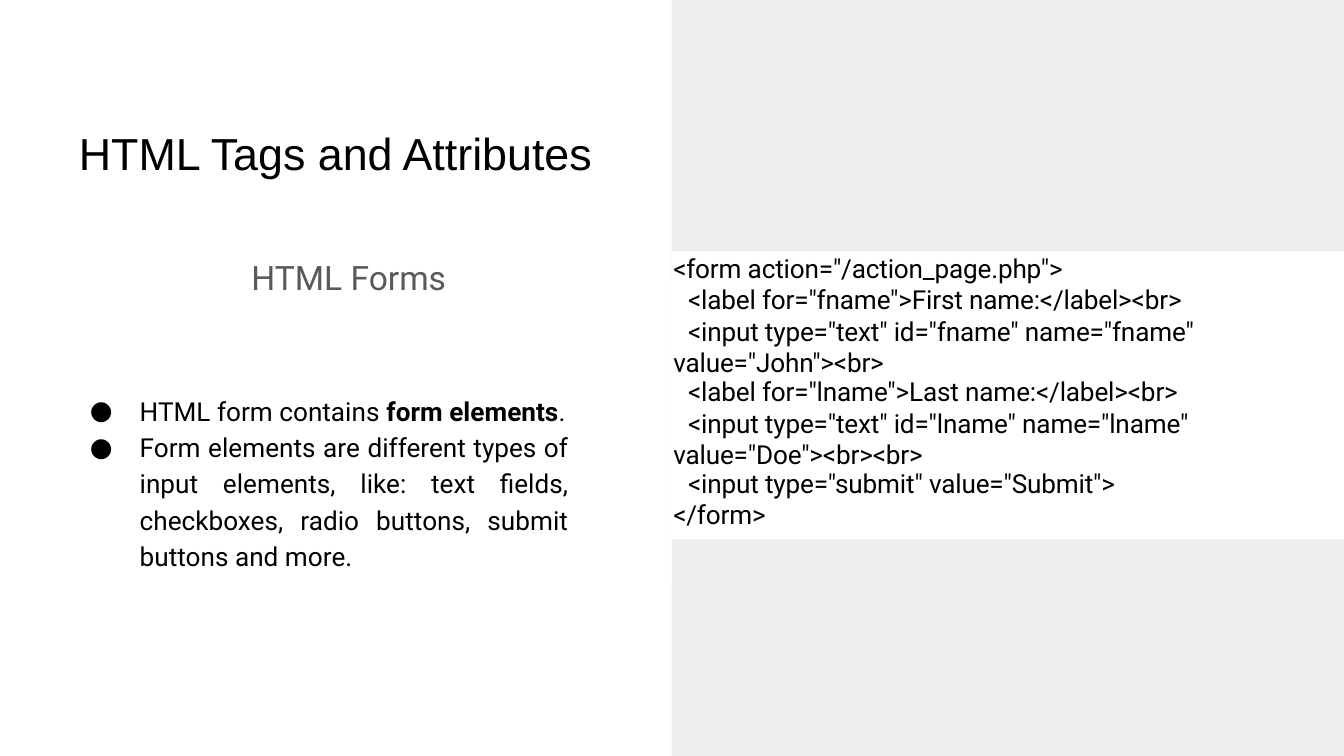
from lxml import etree
from pptx import Presentation
from pptx.dml.color import RGBColor
from pptx.enum import shapes, text
from pptx.oxml import ns
from pptx.util import Inches, Pt

COLORS = {"ink": "000000", "muted": "595959", "panel": "EEEEEE", "paper": "FFFFFF"}
WIDTH = 10
HALF = WIDTH / 2
HEIGHT = WIDTH * 9 / 16
BODY = {"name": "Roboto", "size": Pt(14)}

# Code lines: text, left indent, first-line indent, line height in points, space before
CODE = [
    ('<form action="/action_page.php">', 0.01, 0, 16.6, 0),
    ('<label for="fname">First name:</label><br>', 0.12, 0, 16.5, 0),
    ('<input type="text" id="fname" name="fname" value="John"><br>', 0.01, 0.11, 16.5, 0.7),
    ('<label for="lname">Last name:</label><br>', 0.12, 0, 15.8, 0),
    ('<input type="text" id="lname" name="lname" value="Doe"><br><br>', 0.01, 0.11, 16.5, 0.7),
    ('<input type="submit" value="Submit">', 0.12, 0, 15.8, 0),
    ("</form>", 0.01, 0, 16.6, 0),
]

# Bullets: (words, bold) pieces and line spacing
BULLETS = [
    ([("HTML form contains ", False), ("form elements", True), (".", False)], 1.0),
    ([("Form elements are different types of input elements, like: text fields, "
       "checkboxes, radio buttons, submit buttons and more.", False)], 1.16),
]


def set_all(target, values):
    for key, value in values.items():
        setattr(target, key, value)


def add_block(slide, left, top, width, height, color):
    block = slide.shapes.add_shape(
        shapes.MSO_SHAPE.RECTANGLE, Inches(left), Inches(top), Inches(width), Inches(height))
    block.shadow.inherit = False
    block.fill.solid()
    block.fill.fore_color.rgb = RGBColor.from_string(COLORS[color])
    block.line.fill.background()
    return block


def prepare_frame(shape, inset_top=0.01, anchor=text.MSO_ANCHOR.TOP):
    frame = shape.text_frame
    set_all(frame, {"word_wrap": True, "vertical_anchor": anchor,
                    "margin_left": 0, "margin_right": 0,
                    "margin_top": Inches(inset_top), "margin_bottom": 0})
    return frame


def add_frame(slide, left, top, width, height, **options):
    box = slide.shapes.add_textbox(Inches(left), Inches(top), Inches(width), Inches(height))
    return prepare_frame(box, **options)


def paragraphs(frame, items):
    """Pair each item with its paragraph, starting with the one already there."""
    for index, item in enumerate(items):
        yield (frame.add_paragraph() if index else frame.paragraphs[0]), item


def set_indent(paragraph, left, first):
    properties = paragraph._p.get_or_add_pPr()
    properties.set("marL", str(Inches(left)))
    properties.set("indent", str(Inches(first)))
    return properties


def add_run(paragraph, words, font, color="ink", tracking=0):
    run = paragraph.add_run()
    run.text = words
    set_all(run.font, font)
    run.font.color.rgb = RGBColor.from_string(COLORS[color])
    run._r.get_or_add_rPr().set("spc", str(tracking))


def add_heading(frame, words, font, color):
    heading = frame.paragraphs[0]
    heading.alignment = text.PP_ALIGN.CENTER
    set_indent(heading, 0.01, 0)
    add_run(heading, words, font, color)


def add_bullets(frame):
    for paragraph, (pieces, spacing) in paragraphs(frame, BULLETS):
        set_all(paragraph, {"alignment": text.PP_ALIGN.JUSTIFY, "line_spacing": spacing})
        properties = set_indent(paragraph, 0.38, -0.37)
        bullet_color = etree.SubElement(properties, ns.qn("a:buClr"))
        etree.SubElement(bullet_color, ns.qn("a:srgbClr"), val=COLORS["ink"])
        etree.SubElement(properties, ns.qn("a:buFont"), typeface=BODY["name"])
        etree.SubElement(properties, ns.qn("a:buChar"), char="●")
        for words, bold in pieces:
            add_run(paragraph, words, {**BODY, "bold": bold})


def add_code(frame):
    for paragraph, (line, left, first, height, before) in paragraphs(frame, CODE):
        set_all(paragraph, {"alignment": text.PP_ALIGN.LEFT, "line_spacing": Pt(height)})
        if before:
            paragraph.space_before = Pt(before)
        set_indent(paragraph, left, first)
        add_run(paragraph, line, BODY, tracking=-10)


def main():
    deck = Presentation()
    set_all(deck, {"slide_width": Inches(WIDTH), "slide_height": Inches(HEIGHT)})
    slide = deck.slides.add_slide(deck.slide_layouts[6])

    # Right half: grey panel with bands below and above the code
    for top, bottom in [(0, HEIGHT), (4.33, HEIGHT), (0, 2.11)]:
        add_block(slide, HALF, top, HALF, bottom - top, "panel")

    # Left half: title, subtitle and bullets
    title = add_frame(slide, 0.28, 0.78, 4.42, 0.7, anchor=text.MSO_ANCHOR.MIDDLE)
    add_heading(title, "HTML Tags and Attributes", {"name": "Arial", "size": Pt(24)}, "ink")
    subtitle = add_frame(slide, 1.85, 1.89, 1.48, 0.32, inset_top=0.02)
    add_heading(subtitle, "HTML Forms", {"name": "Roboto", "size": Pt(18)}, "muted")
    add_bullets(add_frame(slide, 0.66, 2.89, 3.57, 1.38, inset_top=0.05))

    # Code sample on white
    code_block = add_block(slide, HALF, 1.87, HALF, 2.14, "paper")
    add_code(prepare_frame(code_block))

    deck.save("out.pptx")


if __name__ == "__main__":
    main()
